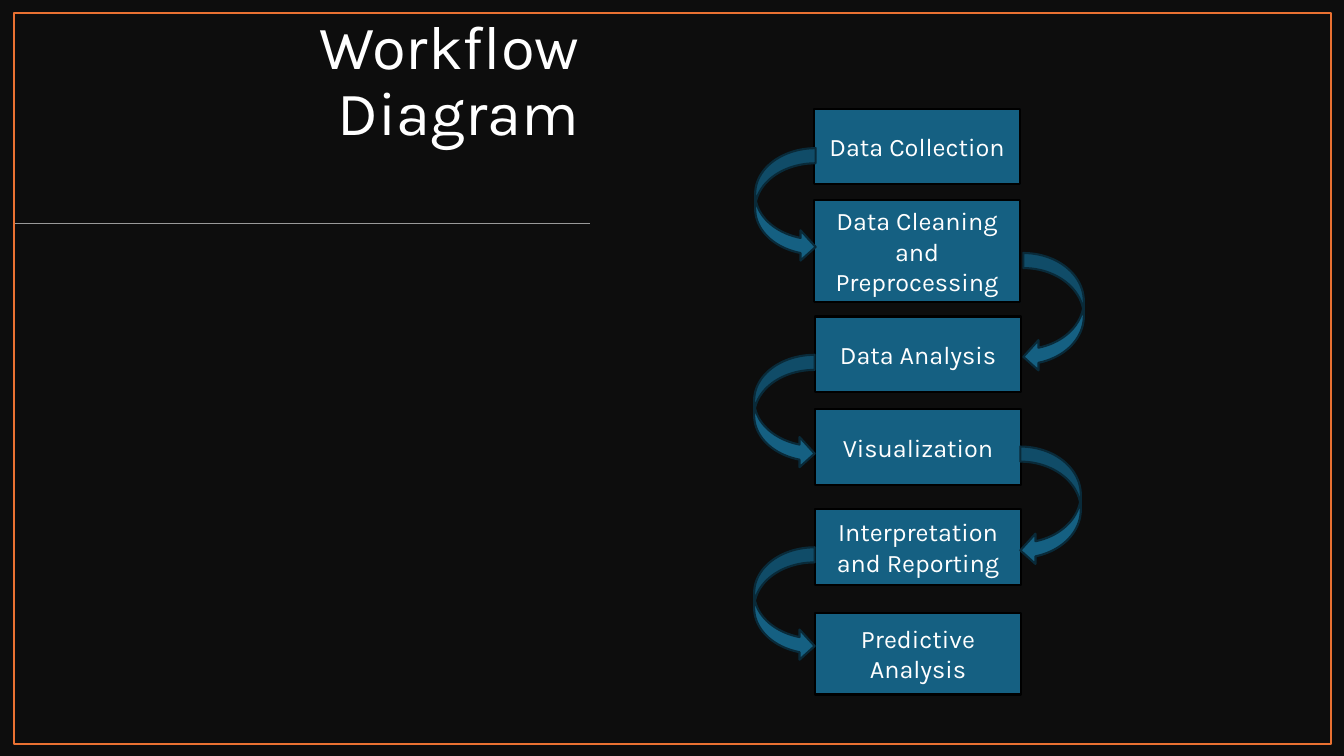
from lxml import etree
from pptx import Presentation
from pptx.dml.color import RGBColor
from pptx.enum.shapes import MSO_CONNECTOR, MSO_SHAPE
from pptx.enum.text import MSO_ANCHOR, MSO_AUTO_SIZE, PP_ALIGN
from pptx.oxml.ns import qn
from pptx.util import Inches, Pt

RECT = MSO_SHAPE.RECTANGLE
RIGHT_ARROW = MSO_SHAPE.CURVED_RIGHT_ARROW
LEFT_ARROW = MSO_SHAPE.CURVED_LEFT_ARROW
STRAIGHT = MSO_CONNECTOR.STRAIGHT
BOTTOM, MIDDLE = MSO_ANCHOR.BOTTOM, MSO_ANCHOR.MIDDLE
RIGHT, CENTER = PP_ALIGN.RIGHT, PP_ALIGN.CENTER

NIGHT = RGBColor(0x0D, 0x0D, 0x0D)
WHITE = RGBColor(0xFF, 0xFF, 0xFF)
BLACK = RGBColor(0, 0, 0)
ORANGE = RGBColor(0xE9, 0x71, 0x32)
GRAY = RGBColor(0x99, 0x99, 0x99)
BLUE = RGBColor(0x15, 0x60, 0x82)
NAVY = RGBColor(0x09, 0x2A, 0x39)

FONT = "Karla"
SLIDE_W, SLIDE_H = 13.33, 7.5
MARGIN = 0.14
STEP_W, ARROW_W = 2.05, 0.6

# Label, left, top, height
STEPS = [
    ("Data Collection", 8.07, 1.08, 0.75),
    ("Data Cleaning and Preprocessing", 8.07, 1.98, 1.02),
    ("Data Analysis", 8.08, 3.14, 0.75),
    ("Visualization", 8.08, 4.06, 0.75),
    ("Interpretation and Reporting", 8.08, 5.05, 0.75),
    ("Predictive Analysis", 8.08, 6.08, 0.81),
]
# Left and top of the arrow that leaves each step; sides alternate
ARROWS = [(7.49, 1.47), (10.15, 2.51), (7.48, 3.52), (10.12, 4.43), (7.48, 5.43)]
ARROW_KINDS = [(RIGHT_ARROW, 1.13), (LEFT_ARROW, 1.18)]


def add_box(slide, kind, left, top, width, height, fill=None, line=None, weight=1):
    sp = slide.shapes.add_shape(
        kind, Inches(left), Inches(top), Inches(width), Inches(height))
    sp.shadow.inherit = False
    if fill is None:
        sp.fill.background()
    else:
        sp.fill.solid()
        sp.fill.fore_color.rgb = fill
    if line is None:
        sp.line.fill.background()
    else:
        sp.line.color.rgb = line
        sp.line.width = Pt(weight)
    return sp


def write(sp, text, size, align, anchor):
    tf = sp.text_frame
    tf.word_wrap = True
    tf.auto_size = MSO_AUTO_SIZE.NONE
    tf.vertical_anchor = anchor
    p = tf.paragraphs[0]
    p.alignment = align
    r = p.add_run()
    r.text = text
    r.font.name = FONT
    r.font.size = Pt(size)
    r.font.color.rgb = WHITE
    return p


def set_title(slide, text):
    title = slide.shapes.title
    title.left, title.top = Inches(0.92), Inches(0.73)
    title.width, title.height = Inches(4.93), Inches(1.45)
    p = write(title, text, 44, RIGHT, BOTTOM)
    p.line_spacing = 0.9
    title.text_frame.margin_bottom = Inches(0.7)


def add_rule(slide, start, end, y):
    rule = slide.shapes.add_connector(
        STRAIGHT, Inches(start), Inches(y), Inches(end), Inches(y))
    rule.line.color.rgb = GRAY
    rule.line.width = Pt(1)
    etree.SubElement(rule._element.spPr, qn("a:effectLst"))


def add_workflow(slide):
    for label, left, top, height in STEPS:
        step = add_box(slide, RECT, left, top, STEP_W, height, BLUE, BLACK, 1.5)
        write(step, label, 18, CENTER, MIDDLE)
    for i, (left, top) in enumerate(ARROWS):
        kind, height = ARROW_KINDS[i % 2]
        add_box(slide, kind, left, top, ARROW_W, height, BLUE, NAVY, 1.5)


def main():
    prs = Presentation()
    prs.slide_width, prs.slide_height = Inches(SLIDE_W), Inches(SLIDE_H)
    slide = prs.slides.add_slide(prs.slide_layouts[5])
    backdrop = add_box(slide, RECT, 0, 0, SLIDE_W, SLIDE_H, NIGHT)
    slide.shapes.title._element.addprevious(backdrop._element)
    set_title(slide, "Workflow Diagram")
    add_rule(slide, 5.85, MARGIN, 2.22)
    add_box(slide, RECT, MARGIN, 0.13, 13.06, 7.25, line=ORANGE)
    add_workflow(slide)
    prs.save("out.pptx")


if __name__ == "__main__":
    main()
